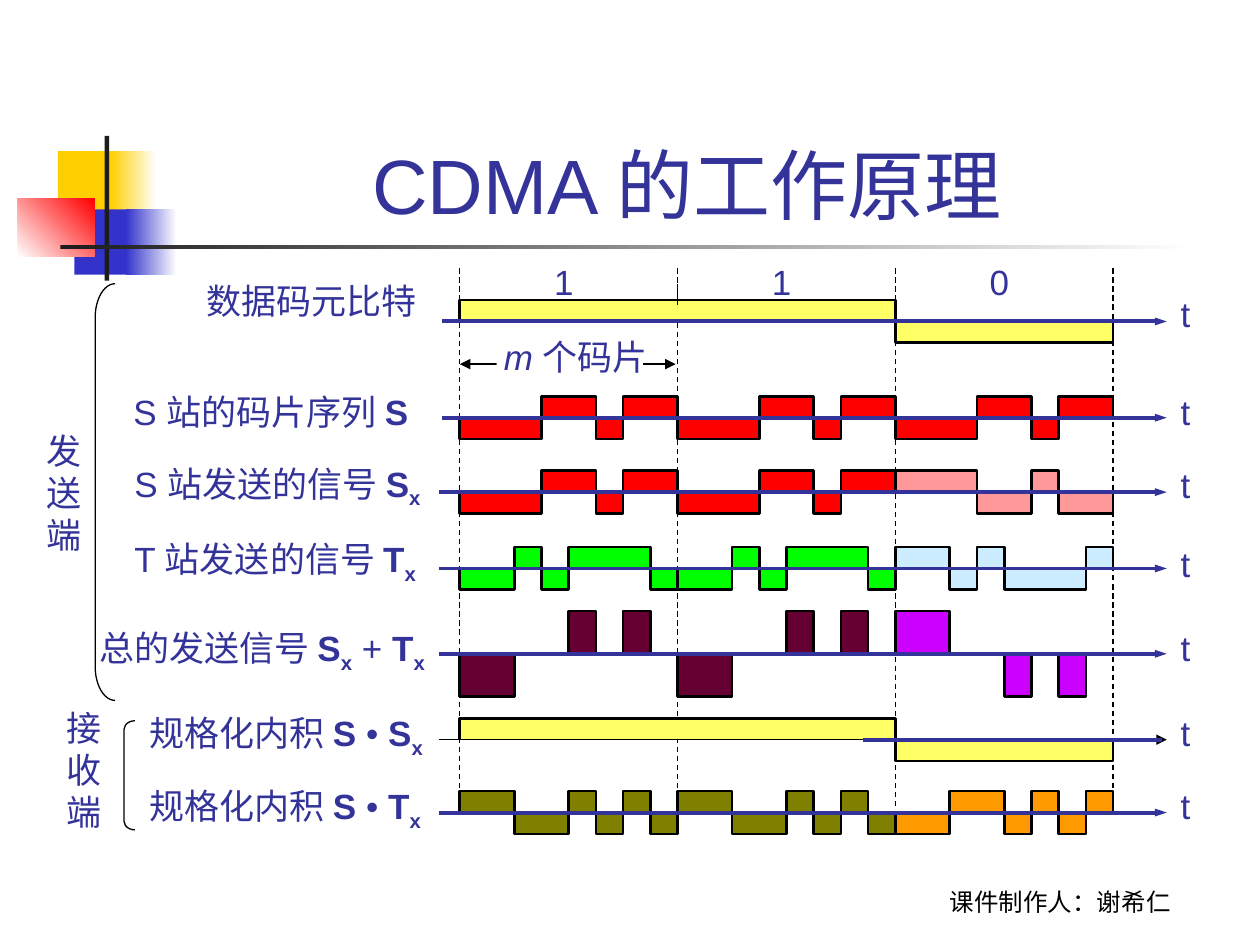
from itertools import groupby

from lxml.etree import SubElement
from pptx import Presentation
from pptx.dml.color import RGBColor
from pptx.enum.dml import MSO_LINE
from pptx.enum.shapes import MSO_CONNECTOR, MSO_SHAPE
from pptx.enum.text import MSO_ANCHOR as Anchor, MSO_AUTO_SIZE as AutoSize, PP_ALIGN as Align
from pptx.oxml.ns import qn
from pptx.util import Cm, Pt

BLUE, BLACK, WHITE, RED, YELLOW = "333399", "000000", "FFFFFF", "FF0000", "FFFF66"

# Signals: data bits and chip sequences; the other rows follow from them
BITS = [1, 1, -1]
S = [-1, -1, -1, 1, 1, -1, 1, 1]
T = [-1, -1, 1, -1, 1, 1, 1, -1]
SUM = [s + t for s, t in zip(S, T)]
PRODUCT = [s * t for s, t in zip(S, T)]


def modulate(chips):
    return [[bit * chip for chip in chips] for bit in BITS]


# Each row: axis y, axis left, top of its t, label box, label runs, bursts, burst colours
ROWS = [
    (6.48, 8.92, 5.77, (3.91, 5.51, 4.75, 1.12), [("数据码元比特", "")],
     [BITS], [YELLOW]),
    (8.42, 8.92, 7.75, (2.44, 7.87, 6.58, 0.99), [("S 站的码片序列 ", ""), ("S", "b")],
     [S] * 3, [RED] * 3),
    (9.92, 8.84, 9.22, (2.46, 9.19, 6.81, 1.22),
     [("S 站发送的信号 ", ""), ("S", "b"), ("x", "sub")],
     modulate(S), [RED, RED, "FF9999"]),
    (11.46, 8.84, 10.82, (2.46, 10.72, 6.73, 1.22),
     [("T 站发送的信号 ", ""), ("T", "b"), ("x", "sub")],
     modulate(T), ["00FF00", "00FF00", "CCECFF"]),
    (13.18, 8.84, 12.5, (1.75, 12.5, 7.44, 1.22),
     [("总的发送信号 ", ""), ("S", "b"), ("x", "sub"), (" + ", ""), ("T", "b"), ("x", "sub")],
     modulate(SUM), ["660033", "660033", "CC00FF"]),
    (14.91, 8.84, 14.22, (2.77, 14.22, 6.38, 1.22),
     [("规格化内积 ", ""), ("S ", "b"), ("• ", ""), ("S", "b"), ("x", "sub")],
     [BITS], [YELLOW]),
    (16.38, 8.84, 15.7, (2.77, 15.7, 6.32, 1.22),
     [("规格化内积 ", ""), ("S ", "b"), ("• ", ""), ("T", "b"), ("x", "sub")],
     modulate(PRODUCT), ["808000", "808000", "FF9900"]),
]
THIN_AXIS = 14.91

# Corner ornament: box, first colour, last colour, gradient angle
ORNAMENT = [
    ((1.17, 3.05, 1.22, 1.32), "FFCF01", None, 0),
    ((2.24, 3.05, 0.91, 1.32), "FFCF01", WHITE, 0),
    ((1.5, 4.22, 1.17, 1.32), "3333CC", None, 0),
    ((2.54, 4.22, 1.02, 1.32), "3333CC", WHITE, 0),
    ((0.36, 4.01, 1.55, 1.17), WHITE, RED, 45),
    ((2.11, 2.74, 0.09, 2.92), "1C1C1C", None, 0),
    ((1.22, 4.94, 22.86, 0.09), "1C1C1C", WHITE, 0),
]

# Sides of the link: name, name box, bracket box, bracket curve
SIDES = [
    ("发送端", (0.69, 8.53, 1.22, 2.79), (1.92, 5.72, 0.4, 8.4), 1.7),
    ("接收端", (1.09, 14.12, 1.22, 2.79), (2.5, 14.53, 0.22, 2.2), 0.8),
]

X0, BIT_WIDTH, LEVEL, AXIS_END = 9.27, 4.39, 0.43, 23.52
BORDER_TOP, BORDER_BOTTOMS = 5.41, [15.95, 15.9, 16.3, 15.93]

prs = Presentation()
prs.slide_width, prs.slide_height = Cm(25.4), Cm(19.05)
shapes = prs.slides.add_slide(prs.slide_layouts[6]).shapes


def rgb(value):
    return RGBColor.from_string(value)


def add_rect(box, first, last=None, angle=0):
    rect = shapes.add_shape(MSO_SHAPE.RECTANGLE, *map(Cm, box))
    rect.shadow.inherit = False
    rect.line.fill.background()
    if last:
        rect.fill.gradient()
        rect.fill.gradient_angle = angle
        for stop, color in zip(rect.fill.gradient_stops, (first, last)):
            stop.color.rgb = rgb(color)
    else:
        rect.fill.solid()
        rect.fill.fore_color.rgb = rgb(first)


def add_line(x1, y1, x2, y2, color=BLACK, width=0.75, ends=(), dash=None, head_width="med"):
    line = shapes.add_connector(MSO_CONNECTOR.STRAIGHT, *map(Cm, (x1, y1, x2, y2)))
    line.line.color.rgb = rgb(color)
    line.line.width = Pt(width)
    if dash:
        line.line.dash_style = dash
    properties = line._element.spPr
    for end in ends:
        SubElement(properties.find(qn("a:ln")), qn(f"a:{end}"),
                   type="triangle", w=head_width, len="med")
    SubElement(properties, qn("a:effectLst"))


def add_text(box, paragraphs, size=20, font="Arial", color=BLUE, wrap=False,
             align=None, anchor=Anchor.TOP, spacing=None):
    frame = shapes.add_textbox(*map(Cm, box)).text_frame
    frame.word_wrap = wrap
    frame.auto_size = AutoSize.NONE if wrap else AutoSize.SHAPE_TO_FIT_TEXT
    frame.vertical_anchor = anchor
    frame.text = "\n".join("" for _ in paragraphs)
    for paragraph, runs in zip(frame.paragraphs, paragraphs):
        paragraph.alignment = align
        paragraph.line_spacing = spacing
        for text, style in runs:
            run = paragraph.add_run()
            run.text = text
            run.font.name, run.font.size = font, Pt(size)
            run.font.color.rgb = rgb(color)
            run.font.bold = style in ("b", "sub")
            run.font.italic = style == "i"
            if style == "sub":
                run._r.get_or_add_rPr().set("baseline", "-25000")


def add_wave(left, axis, levels, step, color):
    """Draw one step curve that starts and ends on its axis."""
    points, x = [(left, axis)], left
    for level, group in groupby(levels):
        y = axis - level * LEVEL
        end = x + step * len(list(group))
        points += [(x, y), (end, y)]
        x = end
    points.append((x, axis))
    points = [(Cm(px), Cm(py)) for (px, py), _ in groupby(points)]
    builder = shapes.build_freeform(*points[0])
    builder.add_line_segments(points[1:], close=False)
    wave = builder.convert_to_shape()
    wave.shadow.inherit = False
    wave.fill.solid()
    wave.fill.fore_color.rgb = rgb(color)
    wave.line.color.rgb = rgb(BLACK)
    wave.line.width = Pt(1.5)


# Ornament, title and credit
for ornament in ORNAMENT:
    add_rect(*ornament)
add_text((3.2, 0.71, 21.64, 4.06), [[("CDMA 的工作原理 ", "")]], 44,
         wrap=True, align=Align.CENTER, anchor=Anchor.BOTTOM)
add_text((17.35, 17.32, 8.05, 1.27), [[("课件制作人：谢希仁", "")]], 14, "Karla", BLACK,
         wrap=True, align=Align.CENTER, anchor=Anchor.BOTTOM)

# Bit borders and bit values
for i, bottom in enumerate(BORDER_BOTTOMS):
    x = X0 + i * BIT_WIDTH
    add_line(x, BORDER_TOP, x, bottom, dash=MSO_LINE.DASH)
for i, bit in enumerate(BITS):
    add_text((10.92 + i * BIT_WIDTH, 5.13, 0.89, 1.12), [[("1" if bit > 0 else "0", "")]])

# Width of one bit in chips
add_line(X0, 7.34, X0 + BIT_WIDTH - 0.04, 7.34, ends=("headEnd", "tailEnd"))
add_rect((10.01, 6.91, 2.95, 0.76), WHITE)
add_text((9.91, 6.63, 3.58, 1.12), [[("m ", "i"), ("个码片", "")]])

# Signal rows
for axis, axis_left, t_top, label_box, label, bursts, colors in ROWS:
    burst_width = BIT_WIDTH * len(BITS) / len(bursts)
    for i, (levels, color) in enumerate(zip(bursts, colors)):
        add_wave(X0 + i * burst_width, axis, levels, burst_width / len(levels), color)
    if axis == THIN_AXIS:
        add_line(axis_left, axis, AXIS_END, axis, ends=("tailEnd",))
        add_line(17.4, axis, 23.42, axis, BLUE, 2.25)
    else:
        add_line(axis_left, axis, AXIS_END, axis, BLUE, 2.25, ("tailEnd",), head_width="sm")
    add_text((23.55, t_top, 0.69, 1.12), [[("t", "")]])
    add_text(label_box, [label], spacing=0.85 if bursts[0] is bursts[-1] is S else None)
add_line(X0 + BIT_WIDTH, 5.72, X0 + BIT_WIDTH, 6.15)

# Sender and receiver brackets
for name, name_box, bracket_box, curve in SIDES:
    add_text(name_box, [[(character, "")] for character in name])
    bracket = shapes.add_shape(MSO_SHAPE.LEFT_BRACKET, *map(Cm, bracket_box))
    bracket.adjustments[0] = curve
    bracket.shadow.inherit = False
    bracket.fill.background()
    bracket.line.color.rgb = rgb(BLACK)
    bracket.line.width = Pt(0.75)

prs.save("out.pptx")
